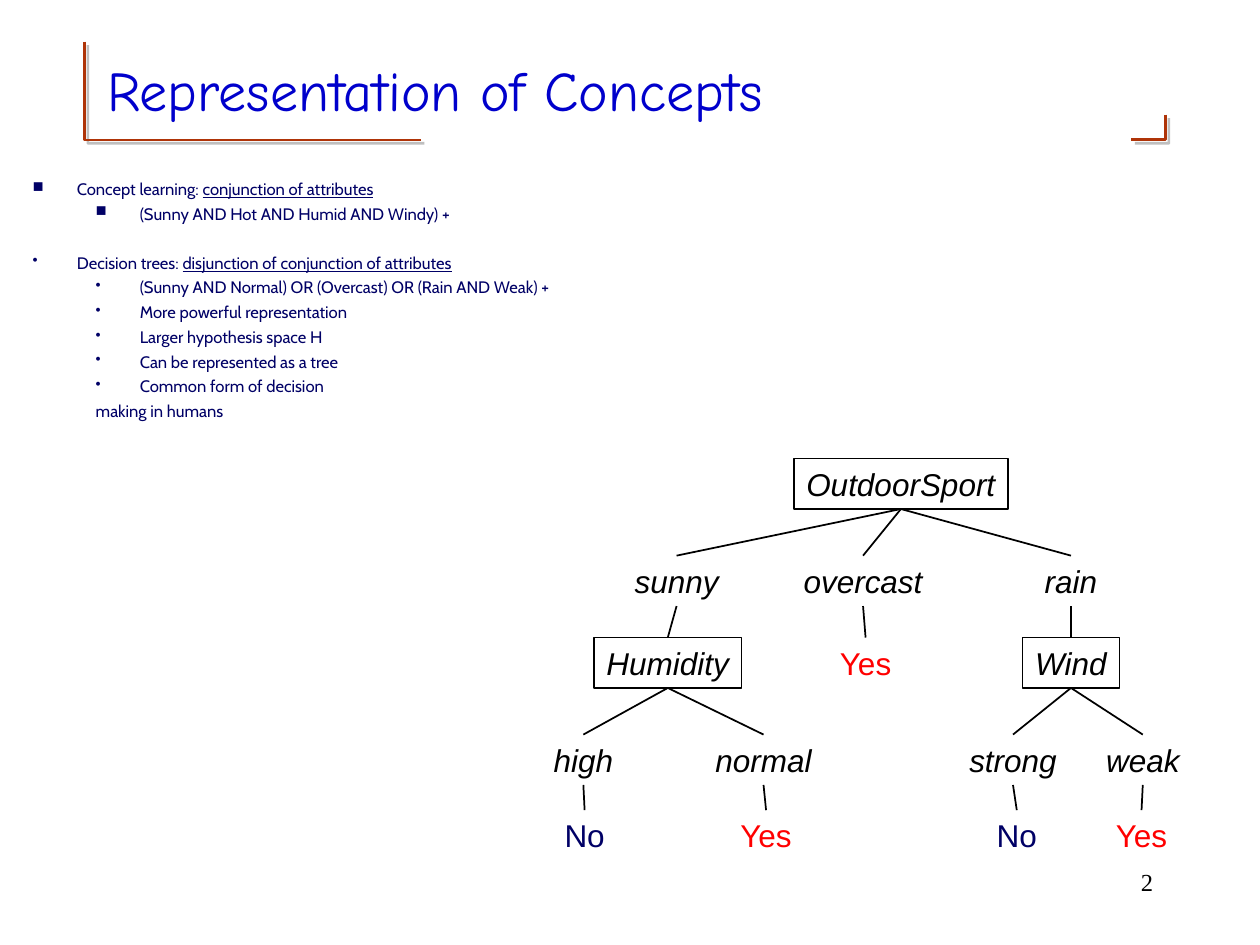
from dataclasses import dataclass

from lxml.etree import SubElement
from pptx import Presentation
from pptx.dml.color import RGBColor
from pptx.enum.shapes import MSO_CONNECTOR as Connector, MSO_SHAPE as Shape
from pptx.enum.text import MSO_ANCHOR as Anchor, MSO_AUTO_SIZE as AutoSize, PP_ALIGN as Align
from pptx.oxml.ns import qn
from pptx.util import Inches, Pt

TITLE = "Representation of Concepts"
PAGE_NUMBER = "2"

# level, bullet, space before, runs as (text, underlined)
BULLETS = [
    (0, "■", 0, [("Concept learning: ", False), ("conjunction of attributes", True)]),
    (1, "■", 5, [("(Sunny AND Hot AND Humid AND Windy) +", False)]),
    (0, "•", 19, [("Decision trees: ", False), ("disjunction of conjunction of attributes", True)]),
    (1, "•", 5, [("(Sunny AND Normal) OR (Overcast) OR (Rain AND Weak) +", False)]),
    (1, "•", 5, [("More powerful representation", False)]),
    (1, "•", 5, [("Larger hypothesis space H", False)]),
    (1, "•", 5, [("Can be represented as a tree", False)]),
    (1, "•", 5, [("Common form of decision", False)]),
    (1, None, 5, [("making in humans", False)]),
]

# key: (text, kind, row, centre, width, parent)
TREE = {
    "root": ("OutdoorSport", "test", 0, 7.15, 1.7, None),
    "sunny": ("sunny", "value", 1, 5.37, 0.86, "root"),
    "overcast": ("overcast", "value", 1, 6.85, 1.14, "root"),
    "rain": ("rain", "value", 1, 8.5, 0.61, "root"),
    "humidity": ("Humidity", "test", 2, 5.3, 1.17, "sunny"),
    "overcast yes": ("Yes", "yes", 2, 6.87, 0.63, "overcast"),
    "wind": ("Wind", "test", 2, 8.5, 0.77, "rain"),
    "high": ("high", "value", 3, 4.63, 0.67, "humidity"),
    "normal": ("normal", "value", 3, 6.06, 0.96, "humidity"),
    "strong": ("strong", "value", 3, 8.04, 0.89, "wind"),
    "weak": ("weak", "value", 3, 9.07, 0.78, "wind"),
    "high no": ("No", "no", 4, 4.64, 0.52, "high"),
    "normal yes": ("Yes", "yes", 4, 6.08, 0.63, "normal"),
    "strong no": ("No", "no", 4, 8.07, 0.52, "strong"),
    "weak yes": ("Yes", "yes", 4, 9.06, 0.63, "weak"),
}
ROW_TOPS = [3.64, 4.41, 5.06, 5.83, 6.43]
NODE_HEIGHT = 0.4

TITLE_CORNERS = [
    [(0.67, 0.33), (0.67, 1.11), (3.34, 1.11)],
    [(9.25, 0.91), (9.25, 1.11), (8.98, 1.11)],
]


@dataclass(frozen=True)
class Theme:
    title: str = "0000CC"
    navy: str = "000066"
    black: str = "000000"
    red: str = "FF0000"
    rust: str = "AF3408"
    shadow: str = "808080"
    title_size: float = 32
    body_size: float = 9.5
    tree_size: float = 18
    number_size: float = 14
    title_font: str = "Comic Neue"
    body_font: str = "Cabin"
    tree_font: str = "Arial"
    number_font: str = "Times New Roman"


THEME = Theme()
NODE_COLORS = {"test": THEME.black, "value": THEME.black, "yes": THEME.red, "no": THEME.navy}


def add_span(para, text, font, size, color, italic=None, underline=None):
    span = para.add_run()
    span.text = text
    span.font.name = font
    span.font.size = Pt(size)
    span.font.color.rgb = RGBColor.from_string(color)
    span.font.italic = italic
    span.font.underline = underline


def style_line(line, color, width):
    line.color.rgb = RGBColor.from_string(color)
    line.width = Pt(width)


def add_title(page):
    box = page.shapes.title
    box.left, box.top, box.width, box.height = map(Inches, (0.75, 0.25, 8.5, 0.92))
    box.text_frame.vertical_anchor = Anchor.MIDDLE
    para = box.text_frame.paragraphs[0]
    para.alignment = Align.LEFT
    add_span(para, TITLE, THEME.title_font, THEME.title_size, THEME.title)


def add_corner(page, points):
    start, *rest = [(Inches(x), Inches(y)) for x, y in points]
    builder = page.shapes.build_freeform(*start)
    builder.add_line_segments(rest, close=False)
    corner = builder.convert_to_shape()
    corner.fill.background()
    style_line(corner.line, THEME.rust, 1.5)
    effects = SubElement(corner._element.spPr, qn("a:effectLst"))
    shadow = SubElement(effects, qn("a:outerShdw"), dist=str(Pt(2.8)), dir="2700000", blurRad="0")
    color = SubElement(shadow, qn("a:srgbClr"), val=THEME.shadow)
    SubElement(color, qn("a:alpha"), val="50000")


def set_bullet(para, level, bullet):
    props = para._p.get_or_add_pPr()
    props.set("marL", str(Inches(0.35 + 0.5 * level)))
    props.set("indent", str(Inches(-0.35)))
    if bullet is None:
        SubElement(props, qn("a:buNone"))
        return
    color = SubElement(props, qn("a:buClr"))
    SubElement(color, qn("a:srgbClr"), val=THEME.navy)
    SubElement(props, qn("a:buSzPct"), val="90000")
    SubElement(props, qn("a:buChar"), char=bullet)


def add_bullets(page):
    frame = page.shapes.add_textbox(*map(Inches, (0.17, 1.4, 9.83, 2.26))).text_frame
    frame.word_wrap = True
    frame.margin_left = frame.margin_right = Inches(0.09)
    for index, (level, bullet, space, spans) in enumerate(BULLETS):
        para = frame.add_paragraph() if index else frame.paragraphs[0]
        para.level = level
        set_bullet(para, level, bullet)
        para.line_spacing = 0.8
        para.space_before = Pt(space)
        for text, underline in spans:
            add_span(para, text, THEME.body_font, THEME.body_size, THEME.navy, underline=underline)
        SubElement(para._p, qn("a:endParaRPr"), sz=str(int(THEME.body_size * 100)))


def add_node(page, text, kind, row, centre, width):
    place = [Inches(n) for n in (centre - width / 2, ROW_TOPS[row], width, NODE_HEIGHT)]
    if kind == "test":
        node = page.shapes.add_shape(Shape.RECTANGLE, *place)
        node.shadow.inherit = False
        node.fill.background()
        style_line(node.line, THEME.black, 1)
    else:
        node = page.shapes.add_textbox(*place)
    frame = node.text_frame
    frame.word_wrap = False
    frame.auto_size = AutoSize.NONE
    frame.margin_left = frame.margin_right = 0
    frame.vertical_anchor = Anchor.TOP
    para = frame.paragraphs[0]
    para.alignment = Align.CENTER
    add_span(para, text, THEME.tree_font, THEME.tree_size, NODE_COLORS[kind],
             italic=kind in ("test", "value"))
    return node


def add_branch(page, parent, child):
    branch = page.shapes.add_connector(Connector.STRAIGHT, 0, 0, 0, 0)
    branch.begin_connect(parent, 2)
    branch.end_connect(child, 0)
    style_line(branch.line, THEME.black, 1)
    SubElement(branch._element.spPr, qn("a:effectLst"))


def add_tree(page):
    nodes = {key: add_node(page, *entry[:-1]) for key, entry in TREE.items()}
    for key, entry in TREE.items():
        if entry[-1]:
            add_branch(page, nodes[entry[-1]], nodes[key])


def add_page_number(page):
    frame = page.shapes.add_textbox(*map(Inches, (7.17, 6.83, 2.08, 0.5))).text_frame
    frame.word_wrap = True
    para = frame.paragraphs[0]
    para.alignment = Align.RIGHT
    add_span(para, PAGE_NUMBER, THEME.number_font, THEME.number_size, THEME.black)


def main():
    deck = Presentation()
    deck.slide_width, deck.slide_height = Inches(10), Inches(7.5)
    page = deck.slides.add_slide(deck.slide_layouts[5])
    for points in TITLE_CORNERS:
        add_corner(page, points)
    add_title(page)
    add_bullets(page)
    add_page_number(page)
    add_tree(page)
    deck.save("out.pptx")


if __name__ == "__main__":
    main()
